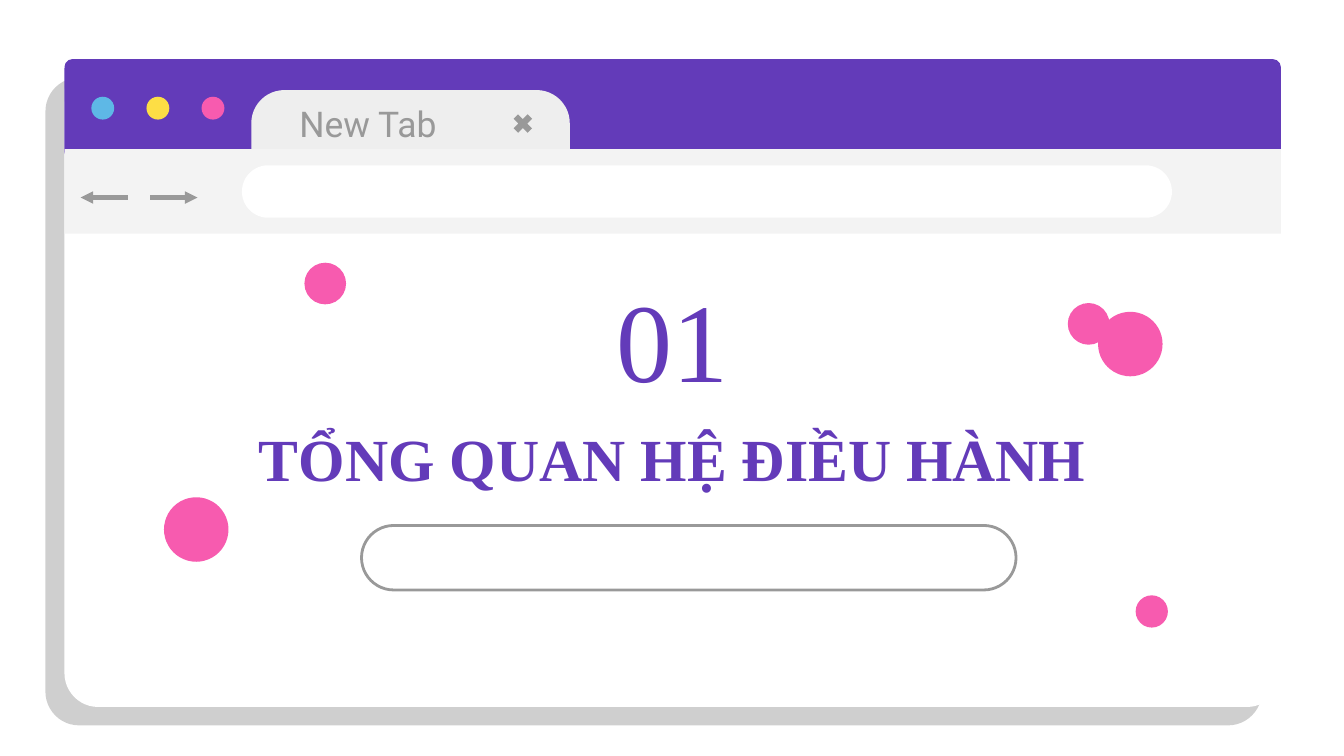
"""Build a section slide styled as a browser window."""
from lxml import etree
from pptx import Presentation
from pptx import util as u
from pptx.dml.color import RGBColor
from pptx.enum import shapes, text
from pptx.oxml.ns import qn

THEME = {
    "purple": "633BB9", "pink": "F75BAF", "blue": "5EB8E6", "yellow": "FDDE45",
    "white": "FFFFFF", "bar": "F3F3F3", "tab": "EEEEEE", "grey": "999999",
    "heading_font": "Times New Roman", "ui_font": "Roboto",
    "number_size": 60, "heading_size": 32, "tab_size": 19,
}
SLIDE_W = 10
SLIDE_H = SLIDE_W * 9 / 16
LEFT, TOP, WIDTH, HEIGHT = 0.48, 0.44, 9.05, 4.82
BUTTON_COLOURS = ["blue", "yellow", "pink"]
BUTTON_LEFT, BUTTON_TOP, BUTTON_SIZE, BUTTON_STEP = 0.68, 0.72, 0.17, 0.41
ARROW_Y = 1.47
ARROWS = [(0.6, 0.95), (1.47, 1.12)]
BUBBLES = [(8.41, 2.56, 0.48), (8.1, 2.41, 0.31), (2.42, 2.11, 0.31),
           (1.46, 3.94, 0.48), (8.57, 4.55, 0.24)]
KIND = shapes.MSO_SHAPE


def colour(name):
    return RGBColor.from_string(THEME[name])


def add_shape(slide, kind, area, fill=None, line=None, adjust=None):
    shape = slide.shapes.add_shape(kind, *map(u.Inches, area))
    shape.shadow.inherit = False
    if adjust is not None:
        shape.adjustments[0] = adjust
    if fill:
        shape.fill.solid()
        shape.fill.fore_color.rgb = colour(fill)
    else:
        shape.fill.background()
    if line:
        shape.line.color.rgb = colour(line)
        shape.line.width = u.Pt(1.5)
    else:
        shape.line.fill.background()
    return shape


def add_circle(slide, x, y, size, fill):
    return add_shape(slide, KIND.OVAL, (x - size / 2, y - size / 2, size, size), fill)


def cast_shadow(shape):
    effects = shape.element.spPr.find(qn("a:effectLst"))
    shadow = etree.SubElement(effects, qn("a:outerShdw"), blurRad="0",
                              dist=str(u.Pt(14.2)), dir=str(136 * 60000),
                              algn="bl", rotWithShape="0")
    tint = etree.SubElement(shadow, qn("a:srgbClr"), val="000000")
    etree.SubElement(tint, qn("a:alpha"), val="18000")


def add_arrow(slide, tip, end):
    arrow = slide.shapes.add_connector(
        shapes.MSO_CONNECTOR.STRAIGHT, *map(u.Inches, (tip, ARROW_Y, end, ARROW_Y)))
    arrow.line.color.rgb = colour("grey")
    arrow.line.width = u.Pt(2.25)
    outline = arrow.element.spPr.find(qn("a:ln"))
    etree.SubElement(outline, qn("a:headEnd"), type="triangle")
    etree.SubElement(arrow.element.spPr, qn("a:effectLst"))


def write(box, words, area, font="heading_font", size="heading_size",
          ink="purple", bold=False, align=text.PP_ALIGN.CENTER):
    box.left, box.top, box.width, box.height = map(u.Inches, area)
    frame = box.text_frame
    frame.word_wrap = True
    frame.auto_size = text.MSO_AUTO_SIZE.NONE
    frame.vertical_anchor = text.MSO_ANCHOR.MIDDLE
    frame.margin_left = frame.margin_right = u.Inches(0.1)
    frame.margin_top = frame.margin_bottom = u.Inches(0.1)
    para = frame.paragraphs[0]
    para.alignment = align
    span = para.add_run()
    span.text = words
    span.font.name, span.font.size = THEME[font], u.Pt(THEME[size])
    span.font.bold, span.font.color.rgb = bold, colour(ink)


def add_text(slide, words, area, **style):
    write(slide.shapes.add_textbox(0, 0, 0, 0), words, area, **style)


def draw_browser(slide):
    rounded = KIND.ROUNDED_RECTANGLE
    window = add_shape(slide, rounded, (LEFT, TOP, WIDTH, HEIGHT), "white", adjust=0.052)
    cast_shadow(window)
    add_shape(slide, rounded, (LEFT, TOP, WIDTH, 0.75), "purple", adjust=0.077)
    add_shape(slide, rounded, (1.87, 0.67, 2.37, 0.85), "tab", adjust=0.29)
    add_text(slide, "New Tab", (2.13, 0.74, 1.62, 0.35), font="ui_font",
             size="tab_size", ink="grey", align=text.PP_ALIGN.LEFT)
    add_shape(slide, KIND.RECTANGLE, (LEFT, 1.11, WIDTH, 0.63), "bar")
    add_shape(slide, rounded, (1.8, 1.23, 6.92, 0.39), "white", adjust=0.5)
    for index, fill in enumerate(BUTTON_COLOURS):
        left = BUTTON_LEFT + index * BUTTON_STEP
        add_shape(slide, KIND.OVAL, (left, BUTTON_TOP, BUTTON_SIZE, BUTTON_SIZE), fill)
    close = add_shape(slide, KIND.MATH_PLUS, (3.79, 0.82, 0.2, 0.2), "grey", adjust=0.235)
    close.rotation = 45
    for tip, end in ARROWS:
        add_arrow(slide, tip, end)


def main():
    deck = Presentation()
    deck.slide_width, deck.slide_height = u.Inches(SLIDE_W), u.Inches(SLIDE_H)
    slide = deck.slides.add_slide(deck.slide_layouts[5])
    draw_browser(slide)
    title = slide.shapes.title
    title.element.getparent().append(title.element)
    write(title, "TỔNG QUAN HỆ ĐIỀU HÀNH", (LEFT, 2.99, WIDTH, 0.83), bold=True)
    add_text(slide, "01", (2.89, 1.85, 4.22, 1.33), size="number_size")
    for x, y, size in BUBBLES:
        add_circle(slide, x, y, size, "pink")
    add_shape(slide, KIND.ROUNDED_RECTANGLE, (2.69, 3.91, 4.87, 0.48),
              line="grey", adjust=0.5)
    deck.save("out.pptx")


if __name__ == "__main__":
    main()
